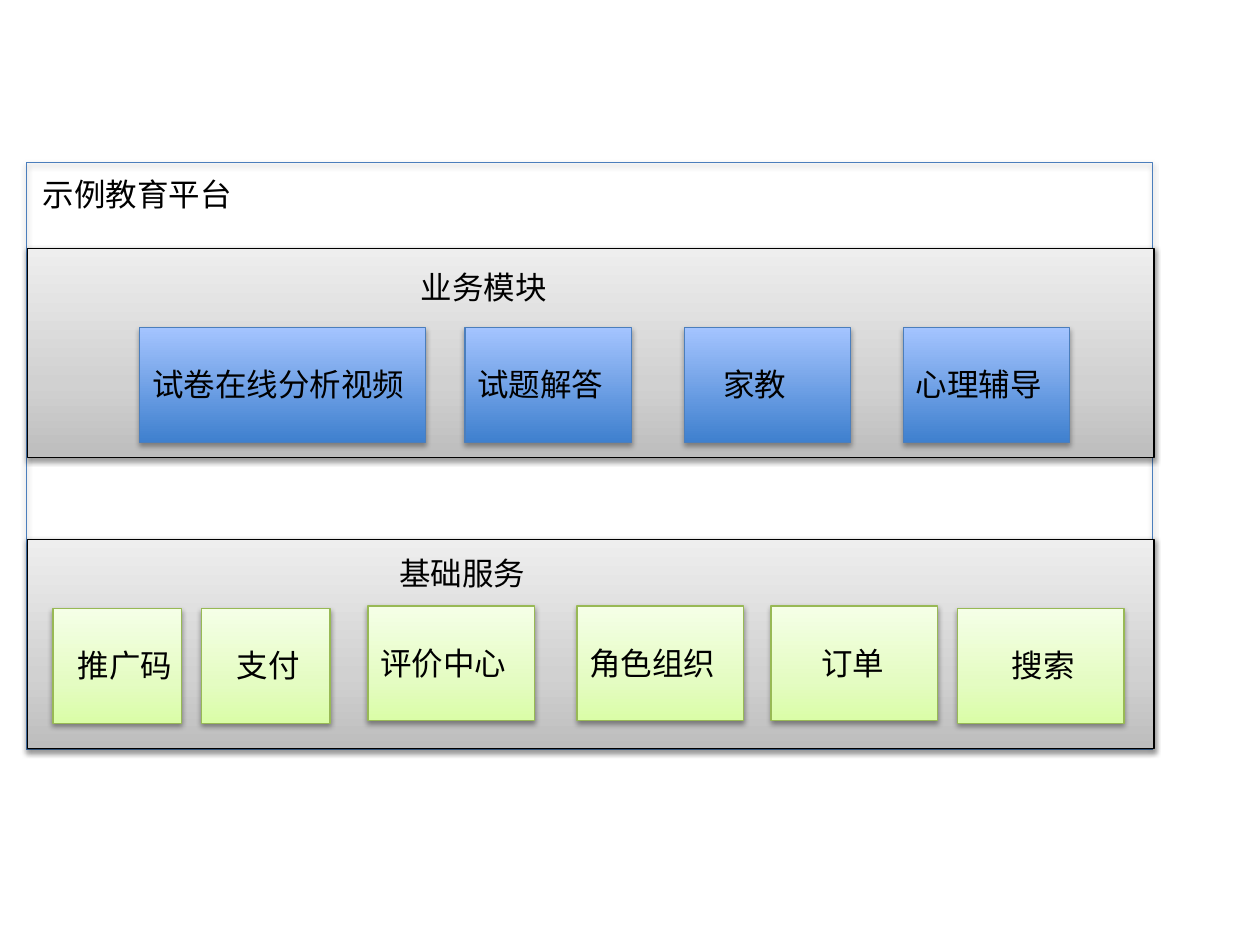
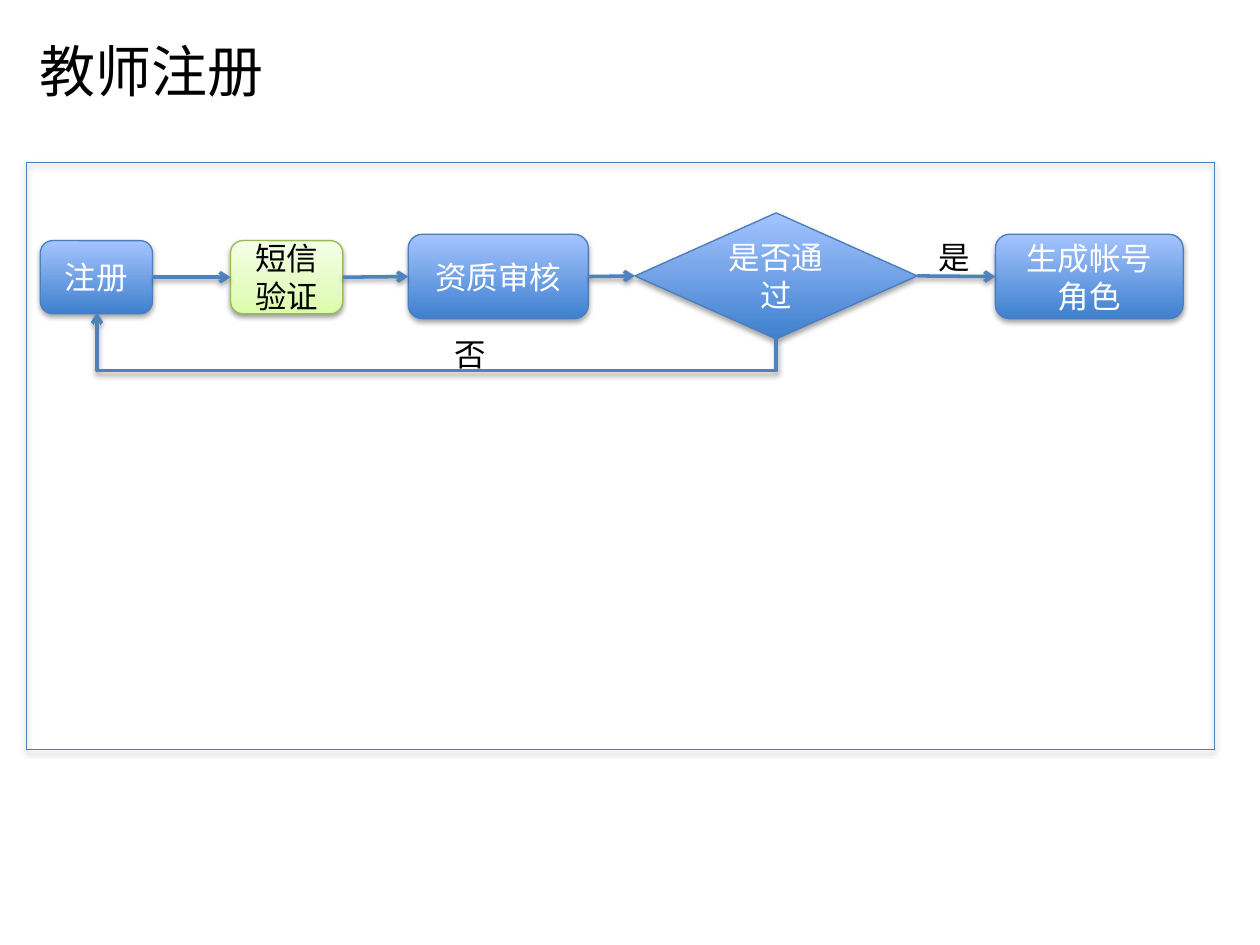
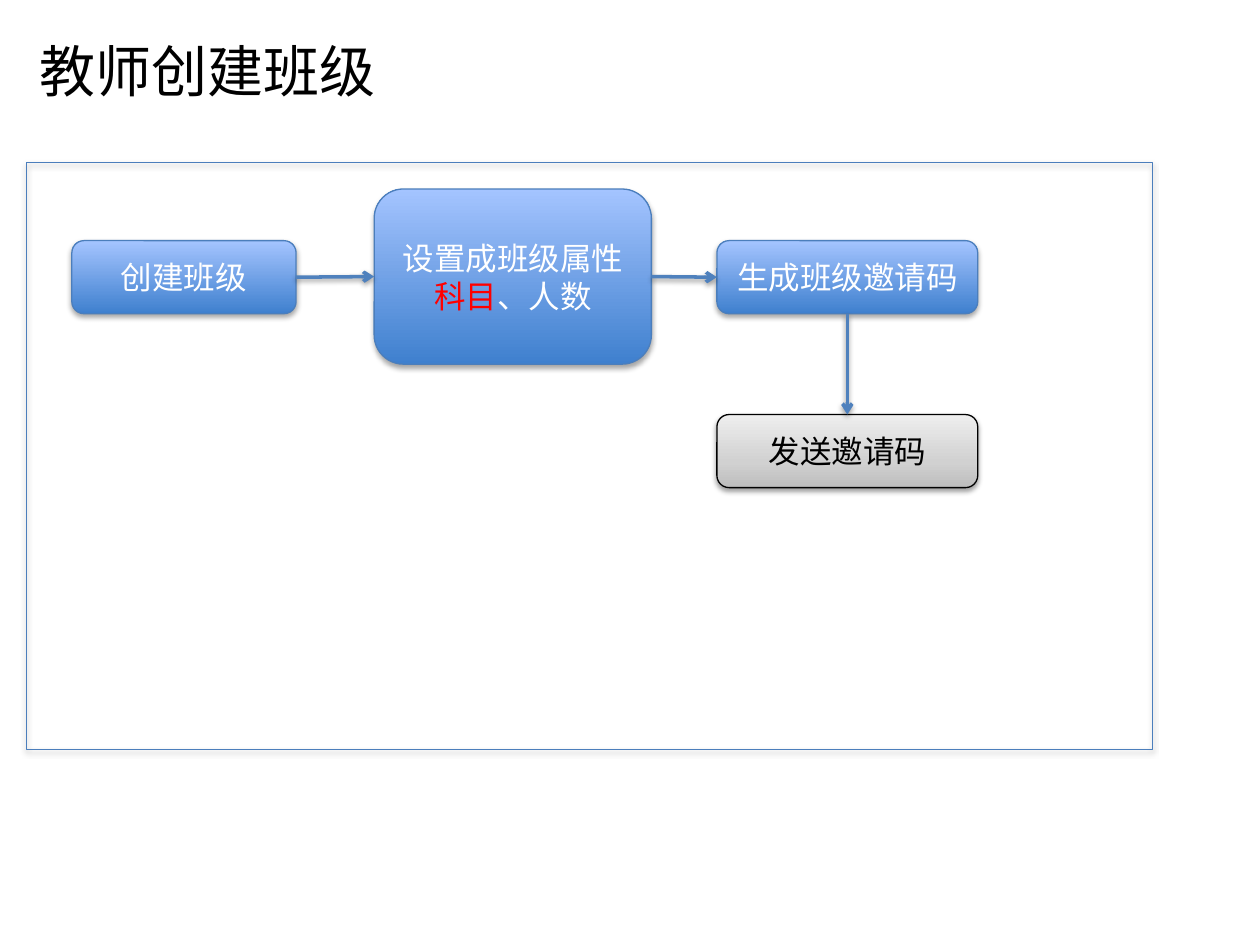
import pptx
import pptx.util
import pptx.dml.color
import pptx.enum.shapes
import pptx.enum.text
import pptx.oxml
import pptx.oxml.ns

Inches = pptx.util.Inches
Pt = pptx.util.Pt
SHAPE = pptx.enum.shapes.MSO_SHAPE
CONNECTOR = pptx.enum.shapes.MSO_CONNECTOR
ANCHOR = pptx.enum.text.MSO_ANCHOR
ALIGN = pptx.enum.text.PP_ALIGN

# ---- Theme ----
THEME = {
    "font": "Calibri", "title": 32, "body": 18,
    "black": "000000", "white": "FFFFFF", "red": "FF0000",
    "arrow": "4F81BD", "outline": 0.75, "arrow_width": 2,
}
DEEP_SHADOW = {"opacity": 35, "distance": 1.8}
SOFT_SHADOW = {"opacity": 38, "distance": 1.6}
# Gradient stops run from the bottom edge to the top edge
STYLES = {
    "frame": {"stops": [], "line": "4B7EBC", "text": "black", "shadow": DEEP_SHADOW},
    "blue": {"stops": [(0, "3F80CE"), (100, "A4C4FF")],
             "line": "4B7EBC", "text": "white", "shadow": DEEP_SHADOW},
    "green": {"stops": [(0, "DAFDA7"), (35, "E4FCC2"), (100, "F5FFE7")],
              "line": "98B955", "text": "black", "shadow": SOFT_SHADOW},
    "gray": {"stops": [(0, "BDBDBD"), (35, "D1D1D1"), (100, "EEEEEE")],
             "line": "000000", "text": "black", "shadow": SOFT_SHADOW},
}
FRAME_LEFT, FRAME_TOP, FRAME_HEIGHT = 0.21, 1.29, 4.66
FRAME_WIDTH, WIDE_FRAME_WIDTH = 8.94, 9.43
TITLE_BOX = (0.21, 0.24, 6.09, 0.64)
LABEL_HEIGHT, LABEL_DROP = 0.4, 0.25
BAND_LEFT, BAND_HEIGHT, TILE_HEIGHT = 0.22, 1.66, 0.91

# ---- Content ----
PLATFORM = ("示例教育平台", (0.24, 1.34, 2.24, LABEL_HEIGHT))
# Tiles: text, left, top, width, label left, label width
BANDS = [
    {"name": "基础服务", "top": 4.28, "label": (3.07, 4.35, 1.94), "style": "green",
     "tiles": [("推广码", 0.42, 4.83, 1.02, 0.52, 1.08),
               ("支付", 1.6, 4.83, 1.02, 1.78, 0.84),
               ("评价中心", 2.92, 4.81, 1.32, 2.92, 1.49),
               ("角色组织", 4.58, 4.81, 1.32, 4.58, 1.49),
               ("订单", 6.12, 4.81, 1.32, 6.42, 0.94),
               ("搜索", 7.6, 4.83, 1.32, 7.93, 0.94)]},
    {"name": "业务模块", "top": 1.97, "label": (3.24, 2.08, 2.4), "style": "blue",
     "tiles": [("试卷在线分析视频", 1.11, 2.6, 2.27, 1.11, 2.27),
               ("试题解答", 3.69, 2.6, 1.32, 3.69, 1.49),
               ("家教", 5.43, 2.6, 1.32, 5.64, 0.87),
               ("心理辅导", 7.17, 2.6, 1.32, 7.17, 1.49)]},
]
# Steps: name, preset, style, box, paragraphs of (text, colour) runs
# Arrows: from step, side, to step, side
FLOWS = [
    {"title": "教师注册", "frame": WIDE_FRAME_WIDTH,
     "steps": [
         ("register", SHAPE.ROUNDED_RECTANGLE, "blue", (0.32, 1.91, 0.89, 0.58), [[("注册", None)]]),
         ("sms", SHAPE.ROUNDED_RECTANGLE, "green", (1.83, 1.91, 0.89, 0.58), [[("短信验证", None)]]),
         ("review", SHAPE.ROUNDED_RECTANGLE, "blue", (3.24, 1.86, 1.43, 0.67), [[("资质审核", None)]]),
         ("passed", SHAPE.DIAMOND, "blue", (5.04, 1.69, 2.24, 1), [[("是否通过", None)]]),
         ("account", SHAPE.ROUNDED_RECTANGLE, "blue", (7.9, 1.86, 1.49, 0.67),
          [[("生成帐号", None)], [("角色", None)]])],
     "arrows": [("register", "right", "sms", "left"), ("sms", "right", "review", "left"),
                ("review", "right", "passed", "left"), ("passed", "right", "account", "left")],
     "returns": [((6.16, 2.69), (0.77, 2.48), 2.94)],
     "labels": [("是", (7.35, 1.84, 0.29, LABEL_HEIGHT)), ("否", (3.51, 2.61, 0.83, LABEL_HEIGHT))]},
    {"title": "教师创建班级", "frame": FRAME_WIDTH,
     "steps": [
         ("create", SHAPE.ROUNDED_RECTANGLE, "blue", (0.57, 1.91, 1.78, 0.58), [[("创建班级", None)]]),
         ("settings", SHAPE.ROUNDED_RECTANGLE, "blue", (2.97, 1.5, 2.2, 1.39),
          [[("设置成班级属性", None)], [("科目", "red"), ("、人数", None)]]),
         ("code", SHAPE.ROUNDED_RECTANGLE, "blue", (5.69, 1.91, 2.07, 0.58), [[("生成班级邀请码", None)]]),
         ("send", SHAPE.ROUNDED_RECTANGLE, "gray", (5.69, 3.29, 2.07, 0.58), [[("发送邀请码", None)]])],
     "arrows": [("create", "right", "settings", "left"), ("settings", "right", "code", "left"),
                ("code", "bottom", "send", "top")],
     "returns": [], "labels": []},
]
SITES = {"top": 0, "left": 1, "bottom": 2, "right": 3}


# ---- Helpers ----
def rgb(value):
    return pptx.dml.color.RGBColor.from_string(value)


def make(tag, content="", attributes=""):
    namespace = pptx.oxml.ns.nsdecls("a")
    return pptx.oxml.parse_xml(f"<a:{tag} {namespace} {attributes}>{content}</a:{tag}>")


def color_xml(value, inner=""):
    return f'<a:srgbClr val="{value}">{inner}</a:srgbClr>'


def add_shadow(shape, opacity, distance):
    color = color_xml(THEME["black"], f'<a:alpha val="{opacity * 1000}"/>')
    shape.element.spPr.append(make("effectLst", (
        f'<a:outerShdw blurRad="{Pt(3.1)}" dist="{Pt(distance)}" dir="5400000" '
        f'rotWithShape="0">{color}</a:outerShdw>')))


def add_run(paragraph, text, size, color):
    run = paragraph.add_run()
    run.text = text
    run.font.name = THEME["font"]
    run.font.size = Pt(size)
    run.font.color.rgb = rgb(THEME[color])


def fill_label(shape, text, size):
    frame = shape.text_frame
    frame.word_wrap = True
    frame.auto_size = pptx.enum.text.MSO_AUTO_SIZE.SHAPE_TO_FIT_TEXT
    frame.vertical_anchor = ANCHOR.TOP
    paragraph = frame.paragraphs[0]
    paragraph.alignment = ALIGN.LEFT
    add_run(paragraph, text, size, "black")


def add_label(slide, text, box):
    fill_label(slide.shapes.add_textbox(*map(Inches, box)), text, THEME["body"])


def set_title(slide, text, box, size):
    title = slide.shapes.title
    title.left, title.top, title.width, title.height = map(Inches, box)
    fill_label(title, text, size)


def add_box(slide, preset, style_name, box, paragraphs=()):
    style = STYLES[style_name]
    shape = slide.shapes.add_shape(preset, *map(Inches, box))
    if style["stops"]:
        shape.fill.gradient()
        shape.fill.gradient_angle = 90
        stops = shape.element.spPr.find(".//" + pptx.oxml.ns.qn("a:gsLst"))
        stops.clear()
        for position, color in style["stops"]:
            stops.append(make("gs", color_xml(color), f'pos="{position * 1000}"'))
    else:
        shape.fill.background()
    shape.line.color.rgb = rgb(style["line"])
    shape.line.width = Pt(THEME["outline"])
    add_shadow(shape, **style["shadow"])
    frame = shape.text_frame
    frame.word_wrap = True
    frame.vertical_anchor = ANCHOR.MIDDLE
    for index, runs in enumerate(paragraphs):
        paragraph = frame.add_paragraph() if index else frame.paragraphs[0]
        paragraph.alignment = ALIGN.CENTER
        for text, color in runs:
            add_run(paragraph, text, THEME["body"], color or style["text"])
    return shape


def add_frame(slide, width):
    add_box(slide, SHAPE.RECTANGLE, "frame", (FRAME_LEFT, FRAME_TOP, width, FRAME_HEIGHT))


def style_arrow(connector):
    connector.line.color.rgb = rgb(THEME["arrow"])
    connector.line.width = Pt(THEME["arrow_width"])
    line = connector.element.spPr.find(pptx.oxml.ns.qn("a:ln"))
    line.append(make("tailEnd", attributes='type="arrow"'))
    add_shadow(connector, **SOFT_SHADOW)


def add_arrow(slide, source, source_side, target, target_side):
    connector = slide.shapes.add_connector(CONNECTOR.STRAIGHT, 0, 0, 0, 0)
    connector.begin_connect(source, SITES[source_side])
    connector.end_connect(target, SITES[target_side])
    style_arrow(connector)


def add_return(slide, start, end, lane):
    """Elbow that drops to the lane, runs left and rises to its end."""
    rise, run = start[1] - end[1], start[0] - end[0]
    left = (start[0] + end[0] - rise) / 2
    top = (start[1] + end[1] - run) / 2
    connector = slide.shapes.add_connector(
        CONNECTOR.ELBOW, Inches(left), Inches(top), Inches(left + rise), Inches(top + run))
    properties = connector.element.spPr
    transform = properties.find(pptx.oxml.ns.qn("a:xfrm"))
    transform.set("rot", "5400000")
    transform.set("flipH", "1")
    bend = round((start[1] - lane) / rise * 100000)
    geometry = properties.find(pptx.oxml.ns.qn("a:prstGeom"))
    for child in list(geometry):
        geometry.remove(child)
    geometry.append(make("avLst", f'<a:gd name="adj1" fmla="val {bend}"/>'))
    style_arrow(connector)


# ---- Slides ----
presentation = pptx.Presentation()
presentation.slide_width, presentation.slide_height = Inches(10), Inches(7.5)
title_only = presentation.slide_layouts[5]

# Platform overview
slide = presentation.slides.add_slide(title_only)
set_title(slide, *PLATFORM, THEME["body"])
add_frame(slide, FRAME_WIDTH)
for band in BANDS:
    add_box(slide, SHAPE.RECTANGLE, "gray", (BAND_LEFT, band["top"], FRAME_WIDTH, BAND_HEIGHT))
    for text, left, top, width, label_left, label_width in band["tiles"]:
        add_box(slide, SHAPE.RECTANGLE, band["style"], (left, top, width, TILE_HEIGHT))
        add_label(slide, text, (label_left, top + LABEL_DROP, label_width, LABEL_HEIGHT))
    add_label(slide, band["name"], (*band["label"], LABEL_HEIGHT))

# Flow charts
for flow in FLOWS:
    slide = presentation.slides.add_slide(title_only)
    set_title(slide, flow["title"], TITLE_BOX, THEME["title"])
    add_frame(slide, flow["frame"])
    steps = {name: add_box(slide, *details) for name, *details in flow["steps"]}
    for source, source_side, target, target_side in flow["arrows"]:
        add_arrow(slide, steps[source], source_side, steps[target], target_side)
    for route in flow["returns"]:
        add_return(slide, *route)
    for text, box in flow["labels"]:
        add_label(slide, text, box)

presentation.save("out.pptx")
